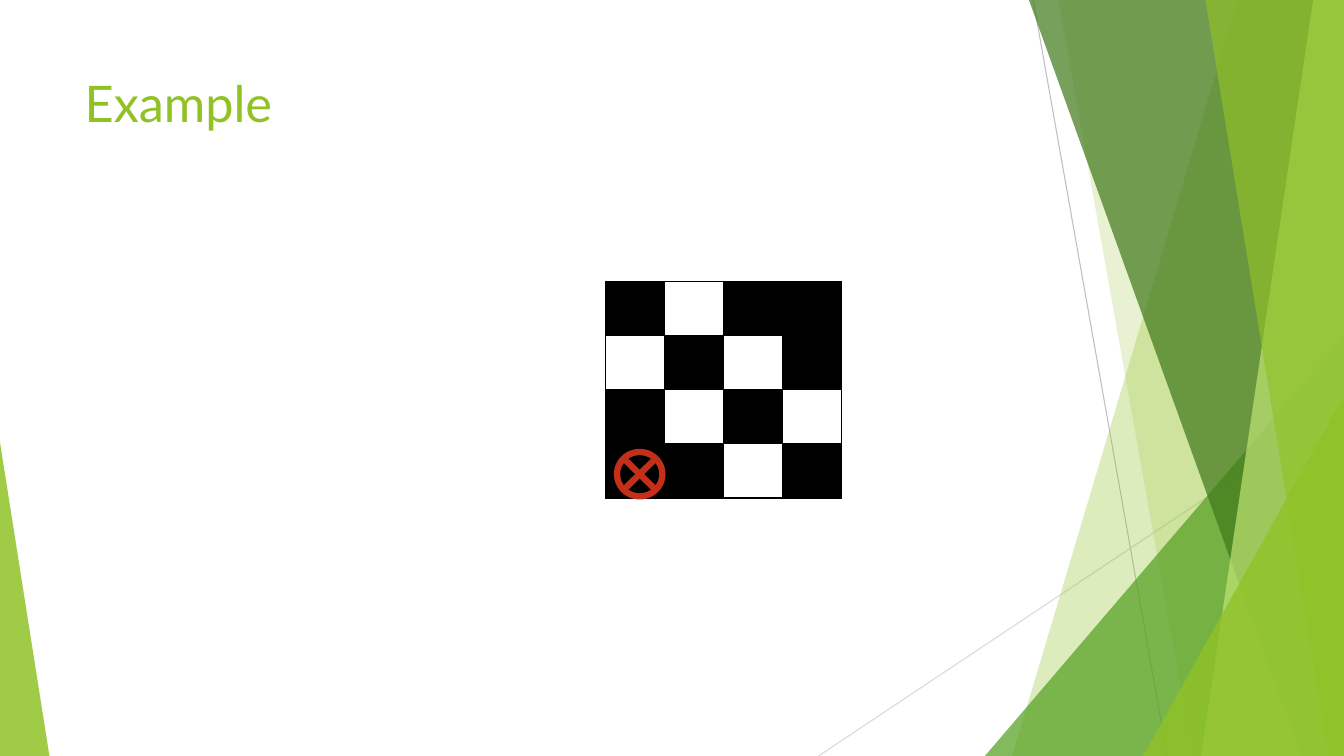
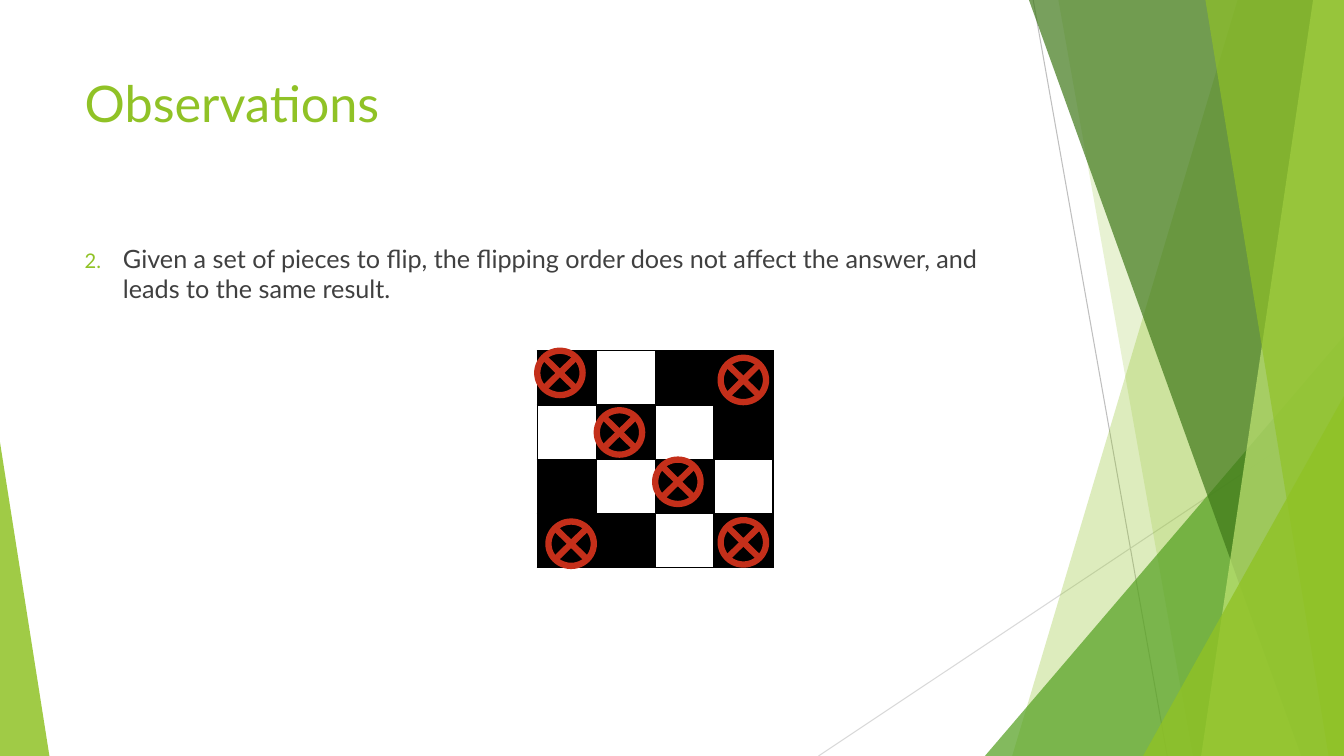
"""Build two slides on flipping the pieces of a board."""
import lxml.etree
import pptx
import pptx.dml.color
import pptx.enum.shapes
import pptx.enum.text
import pptx.oxml.ns
import pptx.util

Pt = pptx.util.Pt
qn = pptx.oxml.ns.qn
Kind = pptx.enum.shapes.MSO_SHAPE
Text = pptx.enum.text

HUES = {
    "lime": "90C226", "leaf": "54A021", "pine": "3F7819", "pale": "C0E474",
    "gray": "BFBFBF", "mist": "D9D9D9", "ink": "404040", "red": "C42F1A",
    "B": "000000", "W": "FFFFFF",
}
WIDE, HIGH = 960, 540
LEFT, SPAN = 53.28, 676.8
CELL = (42.12, 38.7)
MARK = (32.4, 31.68)
BOARD = ("BWBB", "WBWB", "BWBW", "BBWB")
RAYS = [((738, 0), (833.76, HIGH), "gray"), ((WIDE, 290), (584.64, HIGH), "mist")]
BANDS = [
    ("free", 884, 723, "lime", 30),
    ("free", 756, 852, "lime", 20),
    ("tri", (703.5, 240, 256.5, 300), 1, "leaf", 72),
    ("free", 735, 929.5, "pine", 70),
    ("free", 938, 858, "pale", 70),
    ("free", 861, 949, "lime", 65),
    ("tri", (816.5, 283, 143.5, 257), 1, "lime", 80),
    ("tri", (0, 316, 35.3, 224), 0, "lime", 85),
]


def hue(name):
    return pptx.dml.color.RGBColor.from_string(HUES[name])


def put(item, vals):
    for key, val in vals.items():
        setattr(item, key, val)


def node(base, tag, **vals):
    return lxml.etree.SubElement(base, qn(tag), vals)


def box(left, top, width, height):
    sides = ("left", "top", "width", "height")
    return dict(zip(sides, map(Pt, (left, top, width, height))))


class Deck:
    """Hold the style and the current slide."""

    def __init__(self):
        self.file = pptx.Presentation()
        put(self.file, {"slide_width": Pt(WIDE), "slide_height": Pt(HIGH)})
        self.form = self.file.slide_layouts[1]
        self.page = None

    def open(self, title):
        self.page = self.file.slides.add_slide(self.form)
        self.words(self.page.shapes.title, title, (LEFT, 48.24, SPAN, 103.68), 36, "lime")

    def words(self, hold, text, area, size, tint):
        put(hold, box(*area))
        frame = hold.text_frame
        frame.text = text
        put(frame, {"word_wrap": True, "auto_size": Text.MSO_AUTO_SIZE.NONE,
                    "vertical_anchor": Text.MSO_ANCHOR.TOP})
        para = frame.paragraphs[0]
        para.alignment = Text.PP_ALIGN.LEFT
        font = para.runs[0].font
        put(font, {"name": "Lato", "size": Pt(size)})
        font.color.rgb = hue(tint)
        return para

    def list(self, text, start):
        hold = self.page.placeholders[1]
        para = self.words(hold, text, (LEFT, 170, SPAN, 305.28), 18, "ink")
        para.space_before = Pt(10)
        prop = para.runs[0].font and para._p.get_or_add_pPr()
        put_in = Pt(27.36)
        prop.set("marL", str(put_in))
        prop.set("indent", str(-put_in))
        node(node(prop, "a:buClr"), "a:srgbClr", val=HUES["lime"])
        node(prop, "a:buSzPct", val="80000")
        node(prop, "a:buFont", typeface="Lato")
        node(prop, "a:buAutoNum", type="arabicPeriod", startAt=str(start))

    def drop(self):
        hold = self.page.placeholders[1].element
        hold.getparent().remove(hold)

    def ray(self, start, end, tint):
        ends = map(Pt, start + end)
        link = self.page.shapes.add_connector(pptx.enum.shapes.MSO_CONNECTOR.STRAIGHT, *ends)
        link.line.width = Pt(0.75)
        link.line.color.rgb = hue(tint)
        node(link.element.spPr, "a:effectLst")

    def tint(self, shape, name, alpha):
        shape.shadow.inherit = False
        shape.fill.solid()
        shape.fill.fore_color.rgb = hue(name)
        shape.line.fill.background()
        tone = shape.element.spPr.find(".//" + qn("a:srgbClr"))
        node(tone, "a:alpha", val=str(alpha * 1000))

    def free(self, top, foot, name, alpha):
        pen = self.page.shapes.build_freeform(Pt(top), 0, 1.0)
        spots = [(WIDE, 0), (WIDE, HIGH), (foot, HIGH)]
        pen.add_line_segments([(Pt(x), Pt(y)) for x, y in spots], close=True)
        self.tint(pen.convert_to_shape(), name, alpha)

    def tri(self, area, tip, name, alpha):
        shape = self.page.shapes.add_shape(Kind.ISOSCELES_TRIANGLE, *map(Pt, area))
        shape.adjustments[0] = tip
        self.tint(shape, name, alpha)

    def share(self):
        for ray in RAYS:
            self.ray(*ray)
        for kind, *vals in BANDS:
            getattr(self, kind)(*vals)
        tree = self.form.shapes.element
        decor = [s for s in self.page.shapes if not s.is_placeholder]
        for rank, shape in enumerate(decor):
            shape.element.xpath(".//p:cNvPr")[0].set("id", str(100 + rank))
            tree.insert(2 + rank, shape.element)

    def board(self, left, top, marks):
        rows, cols = len(BOARD), len(BOARD[0])
        area = (left, top, cols * CELL[0], rows * CELL[1])
        grid = self.page.shapes.add_table(rows, cols, *map(Pt, area)).table
        put(grid, {"first_row": False, "horz_banding": False})
        for row, codes in enumerate(BOARD):
            for col, code in enumerate(codes):
                self.cell(grid.cell(row, col), code)
        for x, y in marks:
            self.mark(left + x, top + y)

    def cell(self, cell, code):
        prop = cell._tc.get_or_add_tcPr()
        for side in "LRTB":
            edge = node(prop, "a:ln" + side, w=str(Pt(1)))
            node(node(edge, "a:solidFill"), "a:srgbClr", val=HUES["B"])
        cell.fill.solid()
        cell.fill.fore_color.rgb = hue(code)

    def mark(self, left, top):
        area = map(Pt, (left, top) + MARK)
        shape = self.page.shapes.add_shape(Kind.FLOWCHART_SUMMING_JUNCTION, *area)
        shape.shadow.inherit = False
        shape.fill.background()
        shape.line.width = Pt(4.5)
        shape.line.color.rgb = hue("red")


deck = Deck()
deck.open("Example")
deck.share()
deck.drop()
deck.board(432.72, 200.88, [(8, 122)])

deck.open("Observations")
deck.list("Given a set of pieces to flip, the flipping order does not affect "
          "the answer, and leads to the same result.", 2)
deck.board(383.76, 250.56, [(8, 122), (0, 0), (42.5, 42.5),
                            (84.25, 77.75), (131, 121), (131, 5)])
deck.file.save("out.pptx")
